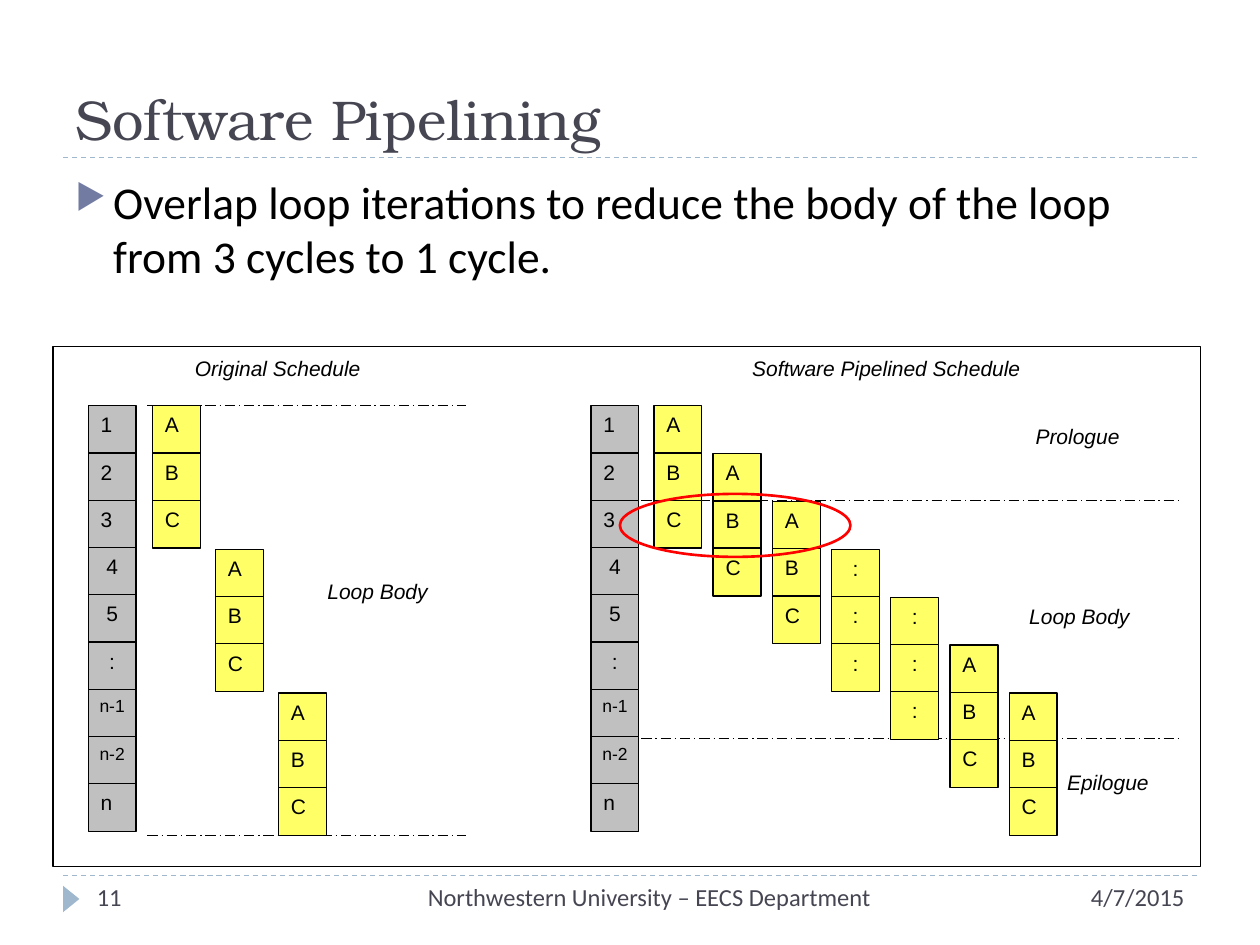
"""Build the software pipelining slide with its two loop schedules."""
from lxml import etree
from pptx import Presentation
from pptx.dml.color import RGBColor
from pptx.enum.dml import MSO_LINE
from pptx.enum.shapes import MSO_CONNECTOR, MSO_SHAPE
from pptx.enum.text import MSO_ANCHOR, PP_ALIGN
from pptx.oxml.ns import qn
from pptx.util import Inches, Pt

LEFT, CENTER, RIGHT = PP_ALIGN.LEFT, PP_ALIGN.CENTER, PP_ALIGN.RIGHT
TOP, BOTTOM = MSO_ANCHOR.TOP, MSO_ANCHOR.BOTTOM
RECT, OVAL, TRIANGLE = MSO_SHAPE.RECTANGLE, MSO_SHAPE.OVAL, MSO_SHAPE.ISOSCELES_TRIANGLE
DASH, DASH_DOT = MSO_LINE.DASH, MSO_LINE.LONG_DASH_DOT
BLACK, GRAY, YELLOW, RED = "000000", "C0C0C0", "FFFF66", "FF0000"
SLATE, PALE_BLUE = "464653", "9FB8CD"
CELL, ROW, STEP, Y0 = 0.38, 3 / 8, 0.38, 3.22

prs = Presentation()
prs.slide_width, prs.slide_height = Inches(10), Inches(7.5)
s = prs.slides.add_slide(prs.slide_layouts[6])


def add_box(x, y, w, h, text="", size=12, font="Arial", color=BLACK, align=LEFT,
            anchor=TOP, italic=False, kind=None, fill=None, line=None, width=0.75, inset=0.1):
    at = [Inches(v) for v in (x, y, w, h)]
    if kind is None:
        sp = s.shapes.add_textbox(*at)
    else:
        sp = s.shapes.add_shape(kind, *at)
        sp.shadow.inherit = False
        if fill:
            sp.fill.solid()
            sp.fill.fore_color.rgb = RGBColor.from_string(fill)
        else:
            sp.fill.background()
        if line:
            sp.line.color.rgb = RGBColor.from_string(line)
            sp.line.width = Pt(width)
        else:
            sp.line.fill.background()
    if text:
        tf = sp.text_frame
        tf.word_wrap = True
        tf.vertical_anchor = anchor
        tf.margin_left = tf.margin_right = Inches(inset)
        p = tf.paragraphs[0]
        p.alignment = align
        r = p.add_run()
        r.text = text
        r.font.size, r.font.name, r.font.italic = Pt(size), font, italic
        r.font.color.rgb = RGBColor.from_string(color)
    return sp


def add_line(x1, x2, y, color, dash):
    ln = s.shapes.add_connector(MSO_CONNECTOR.STRAIGHT, Inches(x1), Inches(y), Inches(x2), Inches(y))
    ln.line.color.rgb = RGBColor.from_string(color)
    ln.line.width = Pt(0.75)
    ln.line.dash_style = dash
    etree.SubElement(ln._element.spPr, qn("a:effectLst"))


for y in (1.25, 6.95):
    add_line(0.5, 9.5, y, PALE_BLUE, DASH)
add_box(0.46, 7.07, 0.21, 0.13, kind=TRIANGLE, fill=PALE_BLUE).rotation = 90

add_box(0.5, 0.17, 9, 1.08, "Software Pipelining", 32, "TeX Gyre Bonum", SLATE, anchor=BOTTOM)
for x, w, text, align in (
    (7, 2.5, "4/7/2015", RIGHT),
    (2.92, 4.09, "Northwestern University – EECS Department", RIGHT),
    (0.67, 2.17, "11", LEFT),
):
    add_box(x, 6.95, w, 0.4, text, 14, "Calibri", SLATE, align)

body = add_box(0.5, 1.33, 9, 0.92,
               "Overlap loop iterations to reduce the body of the loop from 3 cycles to 1 cycle.",
               26, "Calibri")
p = body.text_frame.paragraphs[0]
p.space_before = Pt(6)
pPr = p._p.get_or_add_pPr()
pPr.set("marL", str(Inches(0.3)))
pPr.set("indent", str(-Inches(0.3)))
bu_clr = etree.SubElement(pPr, qn("a:buClr"))
etree.SubElement(bu_clr, qn("a:srgbClr"), val="727CA3")
etree.SubElement(pPr, qn("a:buSzPct"), val="76000")
etree.SubElement(pPr, qn("a:buChar"), char="▶")

add_box(0.42, 2.75, 9.11, 4.13, kind=RECT, line=BLACK)
for x1, x2, y in ((1.17, 3.7, Y0), (1.17, 3.7, 6.63), (5.09, 9.36, 3.97), (5.09, 9.36, 5.86)):
    add_line(x1, x2, y, BLACK, DASH_DOT)

for x, y, w, text, align in (
    (1.17, 2.77, 2.07, "Original Schedule", CENTER),
    (4.83, 2.77, 4.41, "Software Pipelined Schedule", CENTER),
    (2.5, 4.54, 1.19, "Loop Body", LEFT),
    (8.12, 3.31, 1.31, "Prologue", LEFT),
    (8.07, 4.74, 1.31, "Loop Body", LEFT),
    (8.37, 6.06, 1.09, "Epilogue", LEFT),
):
    add_box(x, y, w, 0.36, text, align=align, italic=True)

cycles = ["1", "2", "3", "4", "5", ":", "n-1", "n-2", "n"]
columns = [(x, Y0, cycles, GRAY) for x in (0.7, 4.69)]
columns += [(1.21 + 0.5 * i, Y0 + 3 * STEP * i, "ABC", YELLOW) for i in range(3)]
columns += [(5.19 + 0.47 * i, Y0 + STEP * i, ":::" if i in (3, 4) else "ABC", YELLOW)
            for i in range(7)]
for x, y, labels, fill in columns:
    for i, text in enumerate(labels):
        long = len(text) > 1
        add_box(x, y + ROW * i, CELL, CELL, text, 10 if long else 12,
                align=CENTER if long or text in "45:" else LEFT,
                kind=RECT, fill=fill, line=BLACK, inset=0 if long else 0.1)

add_box(4.92, 3.92, 1.83, 0.5, kind=OVAL, line=RED, width=1.5)

prs.save("out.pptx")
